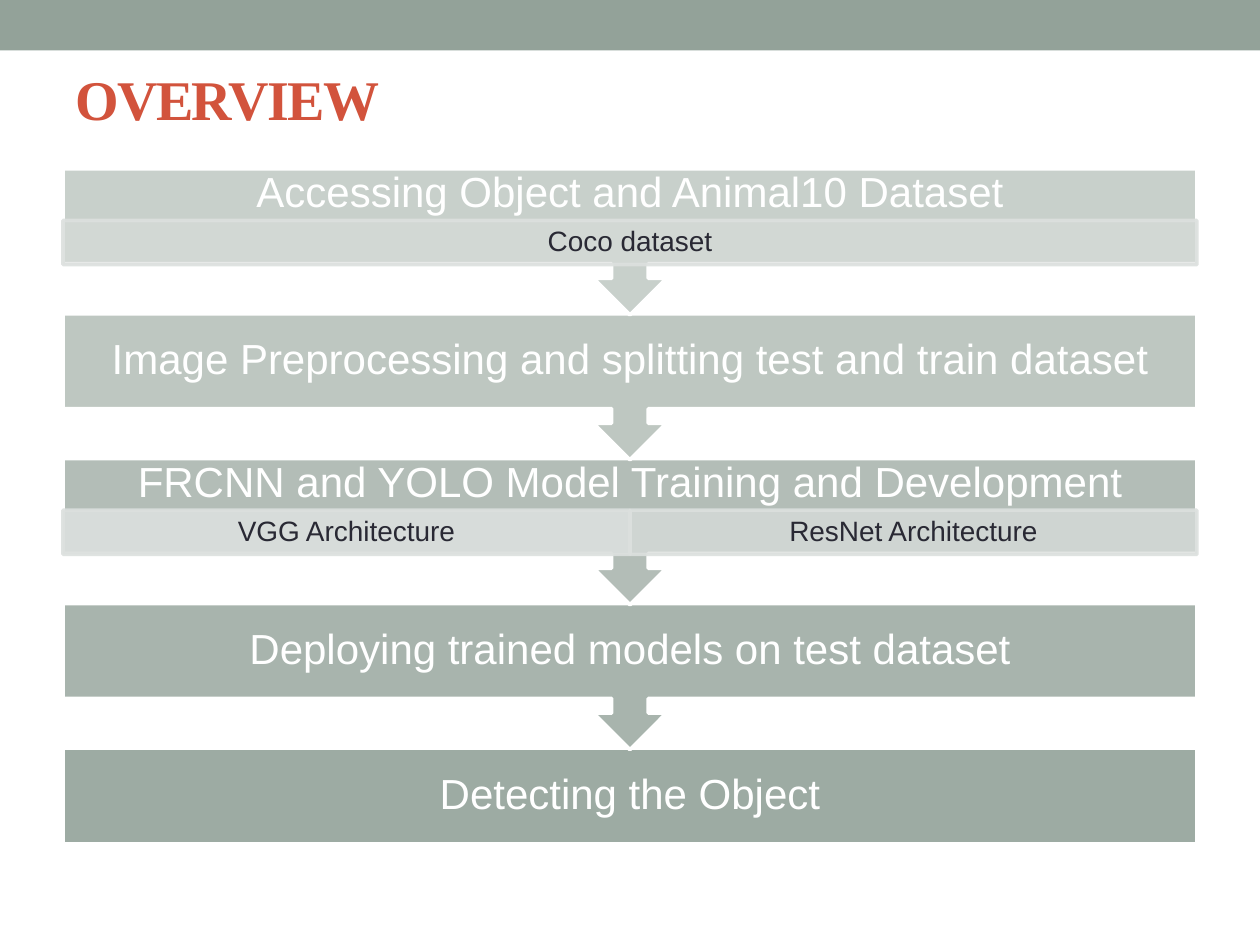
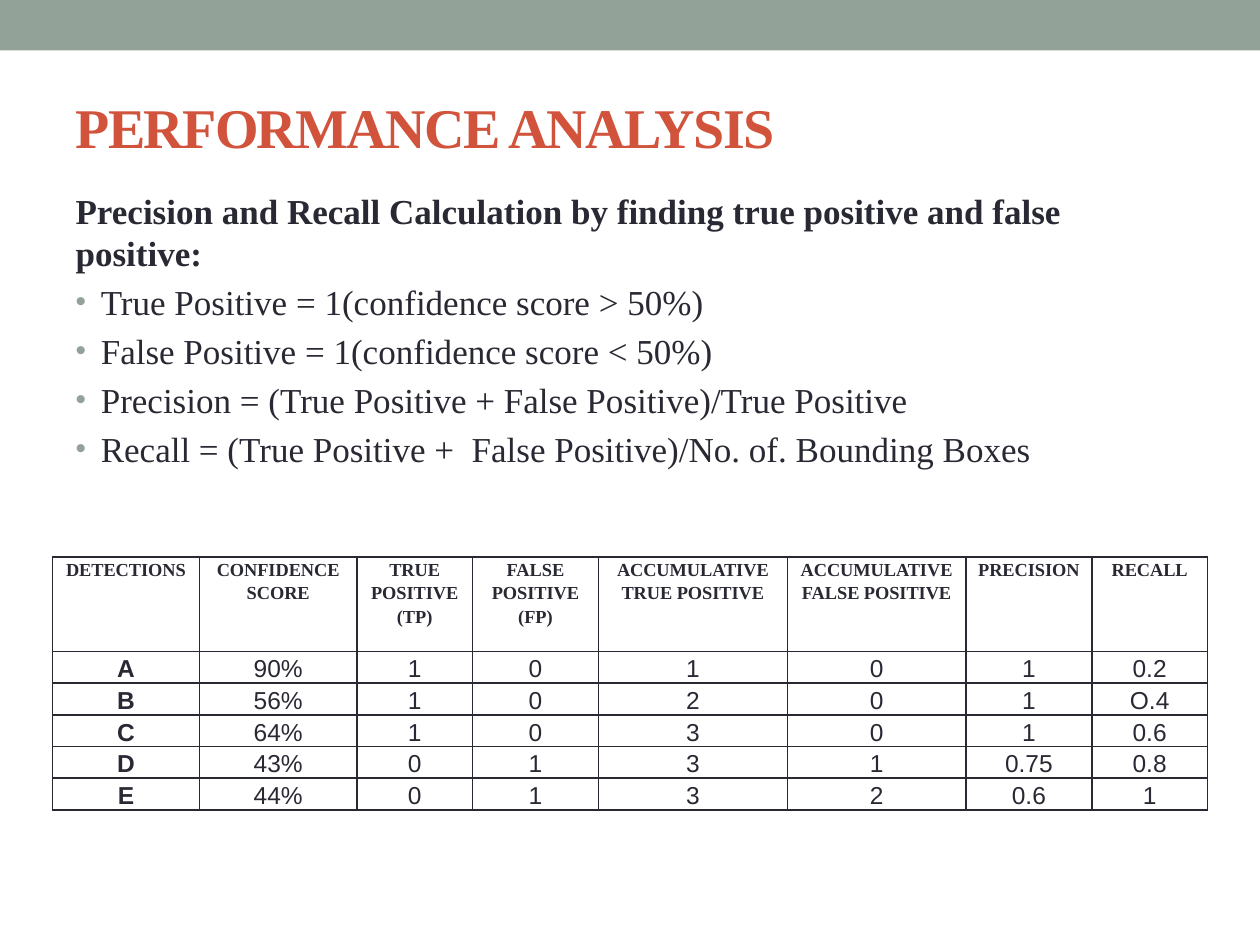
from lxml import etree
from pptx import Presentation
from pptx import util as u
from pptx.dml.color import RGBColor
from pptx.enum import shapes, text
from pptx.oxml import ns

COLORS = {"sage": "93A299", "mist": "DCE0DE", "brick": "D2533C", "ink": "292934", "white": "FFFFFF"}
CENTER, LEFT = text.PP_ALIGN.CENTER, text.PP_ALIGN.LEFT
MIDDLE, TOP = text.MSO_ANCHOR.MIDDLE, text.MSO_ANCHOR.TOP
SERIF, SANS = "Times New Roman", "Arial"
EDGES = ("left", "top", "width", "height")
MARGINS = ("margin_left", "margin_top", "margin_right", "margin_bottom")

TITLE = {"font": {"name": SERIF, "size": u.Pt(32), "bold": True}, "color": "brick",
         "paragraph": {"alignment": LEFT}}
LIST = {"font": {"name": SERIF, "size": u.Pt(20), "bold": False}, "color": "ink",
        "paragraph": {"alignment": LEFT, "space_before": u.Pt(4)}}
STEP = {"font": {"name": SANS, "size": u.Pt(24)}, "color": "white",
        "paragraph": {"alignment": CENTER, "line_spacing": 0.9}}
DETAIL = {**STEP, "font": {"name": SANS, "size": u.Pt(16)}, "color": "ink"}
HEADING = {"font": {"name": SERIF, "size": u.Pt(10.5), "bold": True}, "color": "ink",
           "paragraph": {"alignment": CENTER, "line_spacing": 1.15}}
VALUE = {**HEADING, "font": {"name": SANS, "size": u.Pt(14), "bold": False}}


def write(frame, lines, look, anchor=MIDDLE, margins=(0.1, 0.05, 0.1, 0.05)):
    """Fill a text frame with one paragraph per line, all in the same look."""
    frame.word_wrap = True
    frame.vertical_anchor = anchor
    for side, inches in zip(MARGINS, margins):
        setattr(frame, side, u.Inches(inches))
    for number, line in enumerate(lines):
        paragraph = frame.add_paragraph() if number else frame.paragraphs[0]
        run = paragraph.add_run()
        run.text = line
        run.font.color.rgb = RGBColor.from_string(COLORS[look["color"]])
        for target, values in ((run.font, look["font"]), (paragraph, look["paragraph"])):
            for name, value in values.items():
                setattr(target, name, value)


def paint(shape, fill, opacity, line, line_opacity=100):
    """Set fill and outline, with opacity in percent."""
    shape.shadow.inherit = False
    shape.fill.solid()
    shape.line.width = u.Pt(2.08)
    for part, color, percent in ((shape.fill.fore_color, fill, opacity),
                                 (shape.line.color, line, line_opacity)):
        part.rgb = RGBColor.from_string(COLORS[color])
    for node, percent in zip(shape._element.spPr.iter(ns.qn("a:srgbClr")), (opacity, line_opacity)):
        etree.SubElement(node, ns.qn("a:alpha"), val=str(percent * 1000))


prs = Presentation()
prs.slide_width, prs.slide_height = u.Inches(10), u.Inches(7.5)
WIDTH, HEIGHT = prs.slide_width, prs.slide_height
margin, content = int(WIDTH * 0.05), int(WIDTH * 0.9)

# Titles: layout number, wording, top and height in inches
slides = []
for layout, wording, top, height in ((5, "OVERVIEW", 0.3, 0.95),
                                     (1, "PERFORMANCE ANALYSIS", 0.58, 0.84)):
    slide = prs.slides.add_slide(prs.slide_layouts[layout])
    title = slide.shapes.title
    for edge, value in zip(EDGES, (margin, u.Inches(top), content, u.Inches(height))):
        setattr(title, edge, value)
    write(title.text_frame, [wording], TITLE)
    title.text_frame.auto_size = text.MSO_AUTO_SIZE.NONE
    title.text_frame.paragraphs[0].runs[0].font._element.set("spc", "-100")
    slides.append(slide)
overview, performance = slides

# The top band belongs to the master, so that every slide shows it
band = overview.shapes.add_shape(shapes.MSO_SHAPE.RECTANGLE, 0, 0, WIDTH, u.Inches(0.4))
band.shadow.inherit = False
band.fill.solid()
band.fill.fore_color.rgb = RGBColor.from_string(COLORS["sage"])
band.line.fill.background()
prs.slide_master.shapes._spTree.insert(2, band._element)

# Overview: five steps, each with its details as (wording, opacity)
steps = [
    ("Accessing Object and Animal10 Dataset", [("Coco dataset", 50)]),
    ("Image Preprocessing and splitting test and train dataset", []),
    ("FRCNN and YOLO Model Training and Development",
     [("VGG Architecture", 90), ("ResNet Architecture", 70)]),
    ("Deploying trained models on test dataset", []),
    ("Detecting the Object", []),
]
first_step, pitch = u.Inches(1.34), u.Inches(1.15)
box_height, callout_height = u.Inches(0.76), u.Inches(1.16)
heading_height, detail_height = u.Inches(0.41), u.Inches(0.35)
for number, (wording, details) in reversed(list(enumerate(steps))):
    last = number == len(steps) - 1
    outline = shapes.MSO_SHAPE.RECTANGLE if last else shapes.MSO_SHAPE.DOWN_ARROW_CALLOUT
    top = first_step + number * pitch
    step = overview.shapes.add_shape(outline, margin, top, content,
                                     box_height if last else callout_height)
    paint(step, "sage", 50 + 10 * number, "white")
    write(step.text_frame, [wording], STEP,
          margins=(0.19, 0, 0.19, detail_height.inches if details else 0))
    for place, (detail_wording, opacity) in enumerate(details):
        share = content // len(details)
        detail = overview.shapes.add_shape(shapes.MSO_SHAPE.RECTANGLE, margin + place * share,
                                           top + heading_height, share, detail_height)
        paint(detail, "mist", opacity, "mist", 90)
        write(detail.text_frame, [detail_wording], DETAIL, margins=(0.12, 0.02, 0.12, 0.02))

# Performance: definitions
definitions = performance.placeholders[1]
for edge, value in zip(EDGES, (margin, u.Inches(1.45), content, int(HEIGHT * 0.75))):
    setattr(definitions, edge, value)
write(definitions.text_frame, [
    "Precision and Recall Calculation by finding true positive and false positive:",
    "True Positive = 1(confidence score > 50%)",
    "False Positive = 1(confidence score < 50%)",
    "Precision = (True Positive + False Positive)/True Positive",
    "Recall = (True Positive +  False Positive)/No. of. Bounding Boxes",
], LIST, TOP)
definitions.text_frame.auto_size = text.MSO_AUTO_SIZE.NONE
lead, *formulas = definitions.text_frame.paragraphs
lead.runs[0].font.bold = True
lead_format = lead._p.get_or_add_pPr()
lead_format.set("marL", "0")
lead_format.set("indent", "0")
etree.SubElement(lead_format, ns.qn("a:buNone"))
for formula in formulas:
    bullet = formula._p.get_or_add_pPr()
    bullet.set("marL", str(u.Inches(0.2)))
    bullet.set("indent", str(-u.Inches(0.2)))
    tint = etree.SubElement(bullet, ns.qn("a:buClr"))
    etree.SubElement(tint, ns.qn("a:srgbClr"), val=COLORS["sage"])
    etree.SubElement(bullet, ns.qn("a:buSzPct"), val="85000")
    etree.SubElement(bullet, ns.qn("a:buFont"), typeface=SANS)
    etree.SubElement(bullet, ns.qn("a:buChar"), char="•")

# Performance: results, with column widths in twelfths of an inch
headings = [["DETECTIONS"], ["CONFIDENCE SCORE"], ["TRUE POSITIVE", "(TP)"],
            ["FALSE POSITIVE", "(FP)"], ["ACCUMULATIVE TRUE POSITIVE"],
            ["ACCUMULATIVE FALSE POSITIVE"], ["PRECISION"], ["RECALL"]]
results = [
    ("A", "90%", "1", "0", "1", "0", "1", "0.2"),
    ("B", "56%", "1", "0", "2", "0", "1", "O.4"),
    ("C", "64%", "1", "0", "3", "0", "1", "0.6"),
    ("D", "43%", "0", "1", "3", "1", "0.75", "0.8"),
    ("E", "44%", "0", "1", "3", "2", "0.6", "1"),
]
rows = [headings] + [[[value] for value in result] for result in results]
twelfths = (14, 15, 11, 12, 18, 17, 12, 11)
table_width = u.Inches(sum(twelfths) / 12)
heading_row, result_row = u.Inches(0.75), u.Inches(0.25)
table = performance.shapes.add_table(
    len(rows), len(headings), (WIDTH - table_width) // 2, u.Inches(4.42),
    table_width, heading_row + len(results) * result_row).table
table.first_row = table.horz_banding = False
for column, width in zip(table.columns, twelfths):
    column.width = u.Inches(width / 12)
for row_number, row in enumerate(rows):
    table.rows[row_number].height = result_row if row_number else heading_row
    for column_number, lines in enumerate(row):
        cell = table.cell(row_number, column_number)
        write(cell.text_frame, lines, VALUE if row_number else HEADING, TOP)
        if column_number == 0:
            cell.text_frame.paragraphs[0].runs[0].font.bold = True
        for side, inches in zip(MARGINS, (0.07, 0, 0.07, 0)):
            setattr(cell, side, u.Inches(inches))
        cell.vertical_anchor = TOP
        cell.fill.background()
        cell_format = cell._tc.get_or_add_tcPr()
        for place, side in enumerate(("lnL", "lnR", "lnT", "lnB")):
            border = etree.Element(ns.qn("a:" + side), w=str(u.Pt(1)))
            ink = etree.SubElement(border, ns.qn("a:solidFill"))
            etree.SubElement(ink, ns.qn("a:srgbClr"), val=COLORS["ink"])
            cell_format.insert(place, border)

prs.save("out.pptx")
